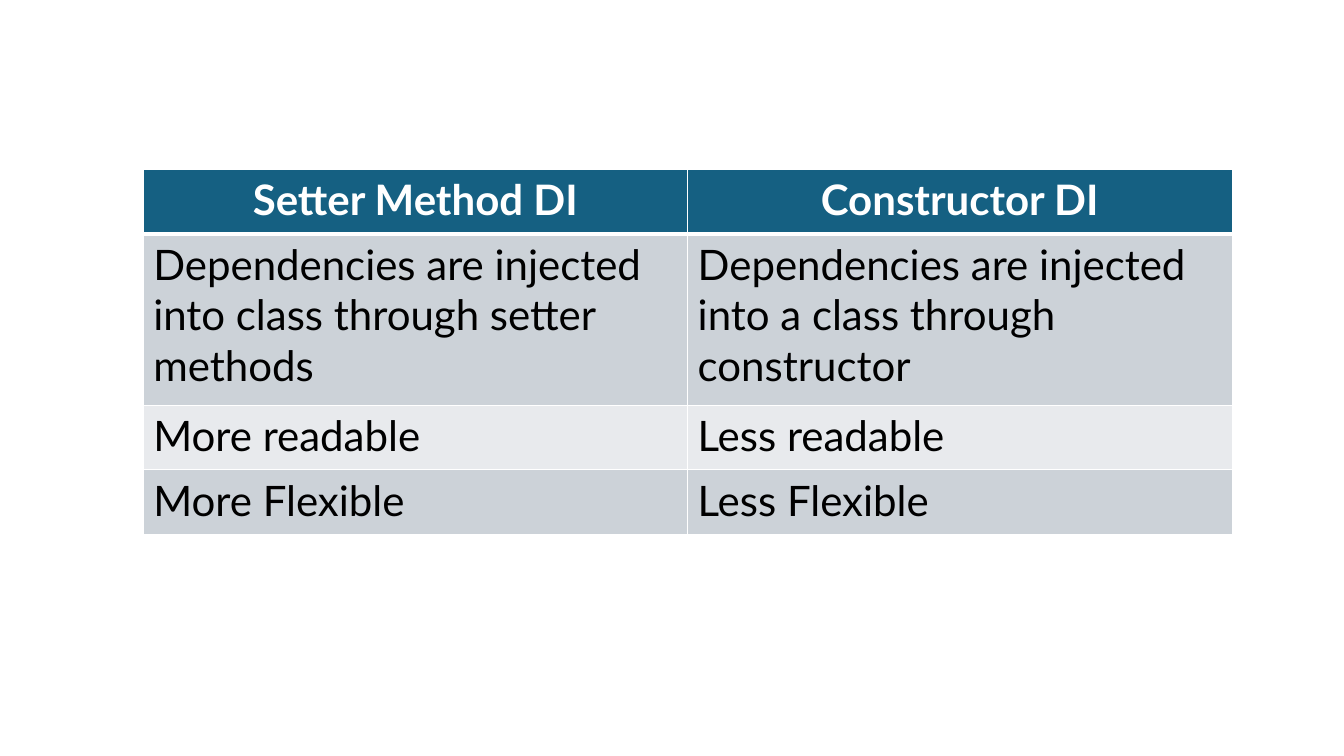
from dataclasses import dataclass

from lxml.etree import SubElement
from pptx import Presentation
from pptx.dml.color import RGBColor
from pptx.enum.text import PP_ALIGN
from pptx.oxml.ns import qn
from pptx.table import _Cell
from pptx.util import Emu, Pt

SCALE = 9144  # EMU per px, 100 px to the inch
HUES = {"head": "156082", "dark": "CCD2D8", "light": "E8EAED",
        "white": "FFFFFF", "black": "000000"}
LEFT, TOP, WIDE = 142, 168, 540


@dataclass
class Row:
    high: int
    fill: str
    texts: tuple[str, str]


ROWS = [
    Row(64, "head", ("Setter Method DI", "Constructor DI")),
    Row(170, "dark", ("Dependencies are injected into class through setter methods",
                      "Dependencies are injected into a class through constructor")),
    Row(64, "light", ("More readable", "Less readable")),
    Row(64, "dark", ("More Flexible", "Less Flexible")),
]


def px(count: int) -> Emu:
    return Emu(count * SCALE)


def hue(name: str) -> RGBColor:
    return RGBColor.from_string(HUES[name])


def edge(cell: _Cell, widths: dict[str, int]) -> None:
    """Draw white cell borders, widths in points by side."""
    props = cell._tc.get_or_add_tcPr()
    for side, width in widths.items():
        line = SubElement(props, qn(f"a:ln{side}"), w=str(Pt(width)))
        fill = SubElement(line, qn("a:solidFill"))
        SubElement(fill, qn("a:srgbClr"), val=HUES["white"])


def paint(cell: _Cell, text: str, fill: str, index: int) -> None:
    head = index == 0
    edge(cell, {"L": 1, "R": 1, "T": 3 if index == 1 else 1, "B": 3 if head else 1})
    cell.fill.solid()
    cell.fill.fore_color.rgb = hue(fill)
    cell.text = text
    para = cell.text_frame.paragraphs[0]
    para.alignment = PP_ALIGN.CENTER if head else PP_ALIGN.LEFT
    font = para.runs[0].font
    for name, value in {"name": "Lato", "size": Pt(30), "bold": head}.items():
        setattr(font, name, value)
    font.color.rgb = hue("white" if head else "black")


def main() -> None:
    deck = Presentation()
    deck.slide_width, deck.slide_height = px(1333), px(750)
    slide = deck.slides.add_slide(deck.slide_layouts[6])
    cols = len(ROWS[0].texts)
    high = sum(row.high for row in ROWS)
    table = slide.shapes.add_table(len(ROWS), cols, px(LEFT), px(TOP),
                                   px(WIDE * cols), px(high)).table
    for index, row in enumerate(ROWS):
        table.rows[index].height = px(row.high)
        for col, text in enumerate(row.texts):
            paint(table.cell(index, col), text, row.fill, index)
    deck.save("out.pptx")


if __name__ == "__main__":
    main()
